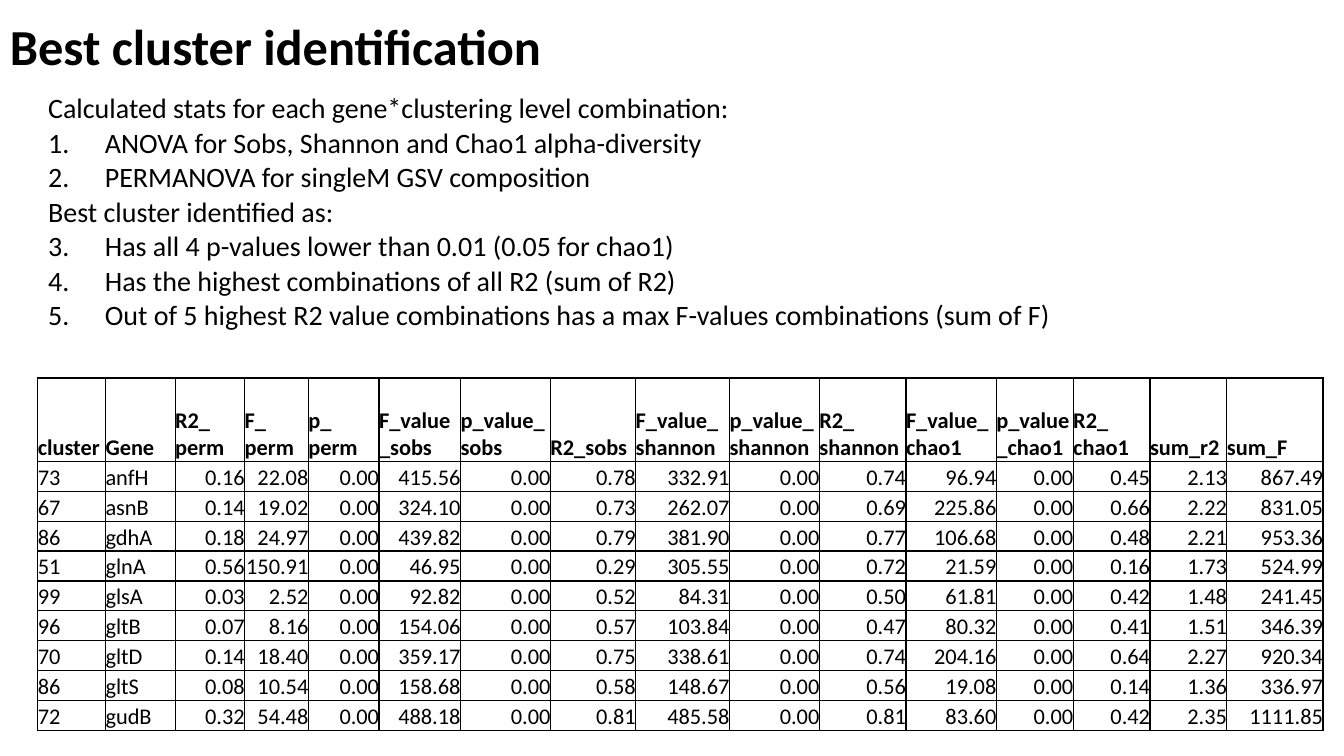
import pptx
import pptx.dml.color
import pptx.enum.text
import pptx.oxml.ns
import pptx.util
from lxml import etree

Pt = pptx.util.Pt
ALIGN = pptx.enum.text.PP_ALIGN
ANCHOR = pptx.enum.text.MSO_ANCHOR
qn = pptx.oxml.ns.qn
BLACK = pptx.dml.color.RGBColor(0, 0, 0)
FONT = "Calibri"

# Content
TITLE = "Best cluster identification"
BODY = [  # (text, numbered)
    ("Calculated stats for each gene*clustering level combination:", False),
    ("ANOVA for Sobs, Shannon and Chao1 alpha-diversity", True),
    ("PERMANOVA for singleM GSV composition", True),
    ("Best cluster identified as:", False),
    ("Has all 4 p-values lower than 0.01 (0.05 for chao1)", True),
    ("Has the highest combinations of all R2 (sum of R2)", True),
    ("Out of 5 highest R2 value combinations has a max F-values combinations (sum of F)", True),
]
COLUMNS = [  # (heading, width in points)
    ("cluster", 48.4), ("Gene", 49.7), ("R2_\nperm", 49.7), ("F_\nperm", 45.5),
    ("p_\nperm", 50.5), ("F_value_sobs", 58.2), ("p_value_sobs", 64.2),
    ("R2_sobs", 61), ("F_value_\nshannon", 67), ("p_value_\nshannon", 64.2),
    ("R2_\nshannon", 61.9), ("F_value_chao1", 64.6), ("p_value_chao1", 54.9),
    ("R2_\nchao1", 54.9), ("sum_r2", 54.9), ("sum_F", 68.6),
]
ROWS = [
    "73 anfH 0.16 22.08 0.00 415.56 0.00 0.78 332.91 0.00 0.74 96.94 0.00 0.45 2.13 867.49",
    "67 asnB 0.14 19.02 0.00 324.10 0.00 0.73 262.07 0.00 0.69 225.86 0.00 0.66 2.22 831.05",
    "86 gdhA 0.18 24.97 0.00 439.82 0.00 0.79 381.90 0.00 0.77 106.68 0.00 0.48 2.21 953.36",
    "51 glnA 0.56 150.91 0.00 46.95 0.00 0.29 305.55 0.00 0.72 21.59 0.00 0.16 1.73 524.99",
    "99 glsA 0.03 2.52 0.00 92.82 0.00 0.52 84.31 0.00 0.50 61.81 0.00 0.42 1.48 241.45",
    "96 gltB 0.07 8.16 0.00 154.06 0.00 0.57 103.84 0.00 0.47 80.32 0.00 0.41 1.51 346.39",
    "70 gltD 0.14 18.40 0.00 359.17 0.00 0.75 338.61 0.00 0.74 204.16 0.00 0.64 2.27 920.34",
    "86 gltS 0.08 10.54 0.00 158.68 0.00 0.58 148.67 0.00 0.56 19.08 0.00 0.14 1.36 336.97",
    "72 gudB 0.32 54.48 0.00 488.18 0.00 0.81 485.58 0.00 0.81 83.60 0.00 0.42 2.35 1111.85",
]
HEADER_HEIGHT, ROW_HEIGHT = 59.6, 21.35


def format_runs(paragraph, size, bold=False):
    for run in paragraph.runs:
        run.font.name = FONT
        run.font.size = Pt(size)
        run.font.bold = bold
        run.font.color.rgb = BLACK


def add_text(slide, left, top, width, height, text):
    frame = slide.shapes.add_textbox(Pt(left), Pt(top), Pt(width), Pt(height)).text_frame
    frame.word_wrap = True
    frame.text = text
    for paragraph in frame.paragraphs:
        paragraph.line_spacing = 0.9
    return frame


def set_bullet(paragraph, numbered):
    properties = paragraph._p.get_or_add_pPr()
    indent = Pt(40.5) if numbered else 0
    properties.set("marL", str(indent))
    properties.set("indent", str(-indent))
    if numbered:
        etree.SubElement(properties, qn("a:buFont"), typeface="+mj-lt")
        etree.SubElement(properties, qn("a:buAutoNum"), type="arabicPeriod")
    else:
        etree.SubElement(properties, qn("a:buNone"))


def set_borders(cell):
    properties = cell._tc.get_or_add_tcPr()
    for side in ("lnL", "lnR", "lnT", "lnB"):
        line = etree.SubElement(properties, qn("a:" + side), w=str(Pt(1)))
        fill = etree.SubElement(line, qn("a:solidFill"))
        etree.SubElement(fill, qn("a:srgbClr"), val=str(BLACK))


def fill_cell(cell, text, bold, align):
    cell.text = text
    cell.margin_left = cell.margin_right = cell.margin_top = cell.margin_bottom = 0
    cell.vertical_anchor = ANCHOR.BOTTOM
    set_borders(cell)
    cell.fill.background()
    for paragraph in cell.text_frame.paragraphs:
        paragraph.alignment = align
        format_runs(paragraph, 16, bold)


presentation = pptx.Presentation()
presentation.slide_width, presentation.slide_height = Pt(960), Pt(540)
slide = presentation.slides.add_slide(presentation.slide_layouts[6])

# Title
title = add_text(slide, 0, 0, 857, 70.5, TITLE)
title.vertical_anchor = ANCHOR.MIDDLE
format_runs(title.paragraphs[0], 36, True)

# Explanation
body = add_text(slide, 27.3, 64, 906, 358.5, "\n".join(text for text, _ in BODY))
for paragraph, (_, numbered) in zip(body.paragraphs, BODY):
    paragraph.space_before = Pt(3)
    set_bullet(paragraph, numbered)
    format_runs(paragraph, 20)

# Table of clusters
table_width = sum(width for _, width in COLUMNS)
table_height = HEADER_HEIGHT + ROW_HEIGHT * len(ROWS)
table = slide.shapes.add_table(len(ROWS) + 1, len(COLUMNS), Pt(27), Pt(270),
                               Pt(table_width), Pt(table_height)).table
table.first_row = table.horz_banding = False
for column, (_, width) in zip(table.columns, COLUMNS):
    column.width = Pt(width)
for index, row in enumerate(table.rows):
    row.height = Pt(ROW_HEIGHT if index else HEADER_HEIGHT)
    values = ROWS[index - 1].split() if index else [heading for heading, _ in COLUMNS]
    for position, (cell, value) in enumerate(zip(row.cells, values)):
        align = ALIGN.RIGHT if index and position > 1 else ALIGN.LEFT
        fill_cell(cell, value, index == 0, align)

presentation.save("out.pptx")
